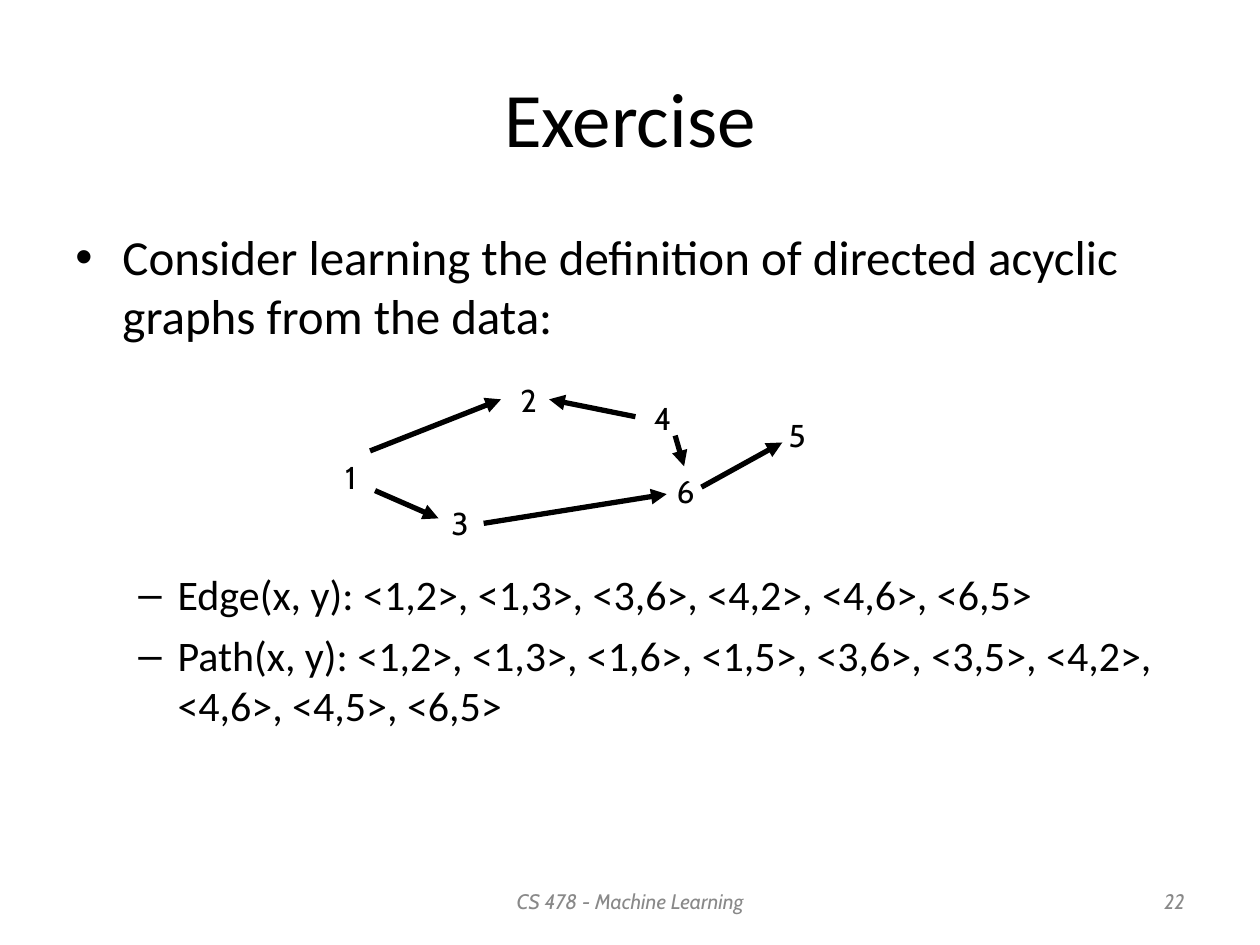
from lxml import etree
from pptx import Presentation
from pptx.dml.color import RGBColor
from pptx.enum.shapes import MSO_CONNECTOR
from pptx.enum.text import MSO_ANCHOR, PP_ALIGN
from pptx.oxml.ns import qn
from pptx.util import Cm, Pt

BLACK = RGBColor(0x00, 0x00, 0x00)
GRAY = RGBColor(0x89, 0x89, 0x89)
LEFT, CENTER, RIGHT = PP_ALIGN.LEFT, PP_ALIGN.CENTER, PP_ALIGN.RIGHT
MIDDLE, TOP = MSO_ANCHOR.MIDDLE, MSO_ANCHOR.TOP
STRAIGHT = MSO_CONNECTOR.STRAIGHT

TITLE_FONT = {"name": "Calibri", "size": Pt(44)}
BULLET_FONT = {"name": "Calibri", "size": Pt(28)}
DASH_FONT = {"name": "Calibri", "size": Pt(24)}
NODE_FONT = {"name": "Cabin", "size": Pt(18)}
FOOTER_FONT = {"name": "Cabin", "size": Pt(12), "italic": True}


def write(paragraph, text, font_format, color=BLACK, alignment=LEFT):
    paragraph.alignment = alignment
    run = paragraph.add_run()
    run.text = text
    for name, value in font_format.items():
        setattr(run.font, name, value)
    run.font.color.rgb = color


def add_text_box(left, top, width, height, anchor=TOP, wrap=True):
    """Add an empty text box, measured in centimetres, and return its text frame."""
    text_box = slide.shapes.add_textbox(Cm(left), Cm(top), Cm(width), Cm(height))
    text_box.text_frame.word_wrap = wrap
    text_box.text_frame.vertical_anchor = anchor
    return text_box.text_frame


presentation = Presentation()
presentation.slide_width = Cm(25.4)
presentation.slide_height = Cm(19.05)
slide = presentation.slides.add_slide(presentation.slide_layouts[5])

# Title
title = slide.shapes.title
title.left, title.top, title.width, title.height = Cm(1.27), Cm(0.76), Cm(22.86), Cm(3.18)
title.text_frame.vertical_anchor = MIDDLE
write(title.text_frame.paragraphs[0], "Exercise", TITLE_FONT, alignment=CENTER)

# Body: the large space before the second item leaves room for the graph
body = add_text_box(1.27, 4.45, 22.86, 12.57)
items = [
    (0, "•", 7, "Consider learning the definition of directed acyclic graphs from the data:"),
    (1, "–", 128, "Edge(x, y): <1,2>, <1,3>, <3,6>, <4,2>, <4,6>, <6,5>"),
    (1, "–", 6, "Path(x, y): <1,2>, <1,3>, <1,6>, <1,5>, <3,6>, <3,5>, <4,2>, "
                "<4,6>, <4,5>, <6,5>"),
]
level_formats = [(BULLET_FONT, 0.95, -0.95), (DASH_FONT, 2.06, -0.79)]
for index, (level, bullet, space_before, text) in enumerate(items):
    paragraph = body.add_paragraph() if index else body.paragraphs[0]
    font_format, margin, indent = level_formats[level]
    paragraph.level = level
    paragraph.space_before = Pt(space_before)
    write(paragraph, text, font_format)
    properties = paragraph._p.get_or_add_pPr()
    properties.set("marL", str(Cm(margin)))
    properties.set("indent", str(Cm(indent)))
    etree.SubElement(properties, qn("a:buFont"), typeface="Arial")
    etree.SubElement(properties, qn("a:buChar"), char=bullet)

# Footer and slide number
for left, width, text, alignment in [
    (8.68, 8.05, "CS 478 - Machine Learning", CENTER),
    (18.21, 5.92, "22", RIGHT),
]:
    footer = add_text_box(left, 17.65, width, 1.02, MIDDLE)
    write(footer.paragraphs[0], text, FOOTER_FONT, GRAY, alignment)

# Directed graph
nodes = {
    "1": (6.71, 9.11),
    "2": (10.24, 7.56),
    "3": (8.85, 10.03),
    "4": (12.93, 7.92),
    "5": (15.65, 8.26),
    "6": (13.39, 9.39),
}
for label, (left, top) in nodes.items():
    node = add_text_box(left, top, 0.86, 1.02, wrap=False)
    write(node.paragraphs[0], label, NODE_FONT)

edges = [
    (7.46, 9.09, 10.1, 8.05),
    (7.56, 9.89, 8.84, 10.45),
    (12.81, 8.4, 11.07, 8.05),
    (9.75, 10.55, 13.44, 9.96),
    (13.61, 8.78, 13.79, 9.4),
    (14.14, 9.82, 15.77, 8.92),
]
for ends in edges:
    edge = slide.shapes.add_connector(STRAIGHT, *map(Cm, ends))
    edge.line.color.rgb = BLACK
    edge.line.width = Pt(3)
    etree.SubElement(edge.line._get_or_add_ln(), qn("a:tailEnd"), type="triangle")
    etree.SubElement(edge._element.spPr, qn("a:effectLst"))

presentation.save("out.pptx")
